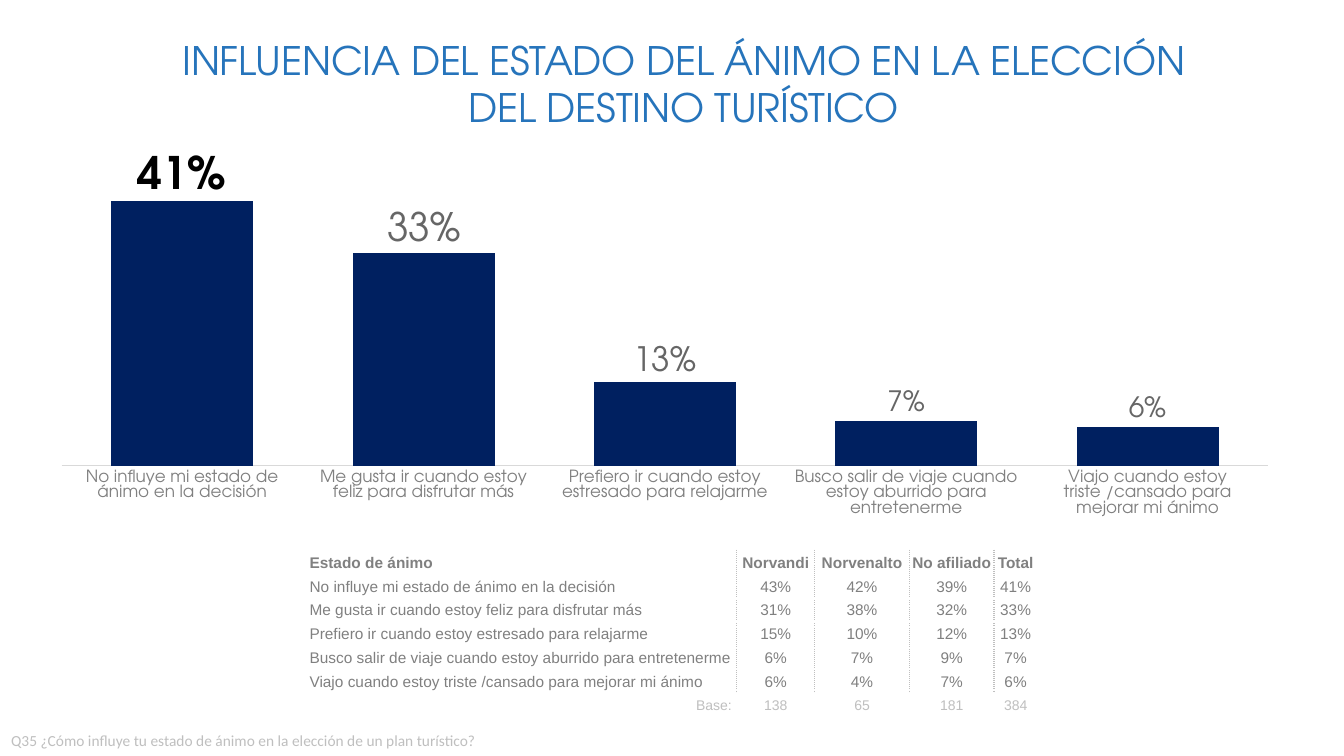
import pptx
import pptx.chart.data
import pptx.dml.color
import pptx.enum.chart
import pptx.enum.text
import pptx.oxml
import pptx.oxml.ns
import pptx.util
from pptx.util import Cm

RGBColor = pptx.dml.color.RGBColor
BLUE = RGBColor(0x26, 0x74, 0xBB)
NAVY = RGBColor(0x00, 0x20, 0x60)
BLACK = RGBColor(0x00, 0x00, 0x00)
DARK_GRAY = RGBColor(0x66, 0x66, 0x66)
GRAY = RGBColor(0x80, 0x80, 0x80)
LIGHT_GRAY = RGBColor(0xBF, 0xBF, 0xBF)
AXIS_GRAY = RGBColor(0xD9, 0xD9, 0xD9)
WHITE = RGBColor(0xFF, 0xFF, 0xFF)
DISPLAY_FONT = "TeX Gyre Adventor"
ALIGN = pptx.enum.text.PP_ALIGN
NAMESPACES = pptx.oxml.ns.nsdecls("a", "c")


def style_font(font, name, size, color, bold=False):
    font.name = name
    font.size = pptx.util.Pt(size)
    font.bold = bold
    font.color.rgb = color


def add_border(cell, side, color, dash):
    cell._tc.get_or_add_tcPr().append(pptx.oxml.parse_xml(
        f'<a:{side} {NAMESPACES} w="12700"><a:solidFill><a:srgbClr val="{color}"/></a:solidFill>'
        f'<a:prstDash val="{dash}"/></a:{side}>'))


deck = pptx.Presentation()
deck.slide_width = Cm(33.87)
deck.slide_height = Cm(19.05)
page = deck.slides.add_slide(deck.slide_layouts[6])

title_box = page.shapes.add_textbox(Cm(4.39), Cm(0.89), Cm(25.68), Cm(2.44))
title_frame = title_box.text_frame
title_frame.word_wrap = True
title_frame.margin_left = title_frame.margin_right = title_frame.margin_bottom = 0
title_frame.margin_top = Cm(0.03)
para = title_frame.paragraphs[0]
para.alignment = ALIGN.CENTER
para.space_before = pptx.util.Pt(1)
span = para.add_run()
span.text = "INFLUENCIA DEL ESTADO DEL ÁNIMO EN LA ELECCIÓN DEL DESTINO TURÍSTICO"
style_font(span.font, DISPLAY_FONT, 28, BLUE)
span._r.get_or_add_rPr().set("spc", "-10")

question_box = page.shapes.add_textbox(Cm(0.03), Cm(18.31), Cm(16.94), Cm(0.74))
question_box.text_frame.word_wrap = True
span = question_box.text_frame.paragraphs[0].add_run()
span.text = "Q35 ¿Cómo influye tu estado de ánimo en la elección de un plan turístico?"
style_font(span.font, "Calibri", 11, LIGHT_GRAY)

moods = [
    ("No influye mi estado de ánimo en la decisión", 43, 42, 39, 41),
    ("Me gusta ir cuando estoy feliz para disfrutar más", 31, 38, 32, 33),
    ("Prefiero ir cuando estoy estresado para relajarme", 15, 10, 12, 13),
    ("Busco salir de viaje cuando estoy aburrido para entretenerme", 6, 7, 9, 7),
    ("Viajo cuando estoy triste /cansado para mejorar mi ánimo", 6, 4, 7, 6),
]

chart_data = pptx.chart.data.CategoryChartData(number_format="0%")
chart_data.categories = [mood[0] for mood in moods]
chart_data.add_series("Total", [mood[-1] / 100 for mood in moods])
chart = page.shapes.add_chart(
    pptx.enum.chart.XL_CHART_TYPE.COLUMN_CLUSTERED,
    Cm(0.91), Cm(3.63), Cm(32.08), Cm(10.34), chart_data).chart
chart.has_legend = False
chart.has_title = False
style_font(chart.font, "Calibri", 10, BLACK)

category_axis = chart.category_axis
category_axis.major_tick_mark = pptx.enum.chart.XL_TICK_MARK.NONE
category_axis.format.line.color.rgb = AXIS_GRAY
category_axis.format.line.width = pptx.util.Pt(0.75)
style_font(category_axis.tick_labels.font, DISPLAY_FONT, 12, GRAY)

value_axis = chart.value_axis
value_axis.minimum_scale = 0
value_axis.maximum_scale = 0.45
value_axis.has_major_gridlines = False
value_axis.major_tick_mark = pptx.enum.chart.XL_TICK_MARK.NONE
value_axis.tick_label_position = pptx.enum.chart.XL_TICK_LABEL_POSITION.NONE
value_axis.format.line.fill.background()

plot = chart.plots[0]
plot.gap_width = 70
plot.vary_by_categories = False
bars = plot.series[0]
bars.format.fill.solid()
bars.format.fill.fore_color.rgb = NAVY

labels = bars.data_labels
labels.show_value = True
labels.number_format = "0%"
labels.number_format_is_linked = False
labels.position = pptx.enum.chart.XL_LABEL_POSITION.OUTSIDE_END
style_font(labels.font, DISPLAY_FONT, 18, DARK_GRAY)
for index, size in enumerate([32, 28, 24, 20, 20]):
    label = bars.points[index].data_label
    leading = index == 0
    style_font(label.font, DISPLAY_FONT, size, BLACK if leading else DARK_GRAY, leading)
    label.position = pptx.enum.chart.XL_LABEL_POSITION.OUTSIDE_END

plot_area = chart._chartSpace.chart.plotArea
for old_layout in plot_area.findall(pptx.oxml.ns.qn("c:layout")):
    plot_area.remove(old_layout)
plot_area.insert(0, pptx.oxml.parse_xml(
    f'<c:layout {NAMESPACES}><c:manualLayout><c:layoutTarget val="inner"/>'
    '<c:xMode val="edge"/><c:yMode val="edge"/><c:x val="0.02"/><c:y val="0.077"/>'
    '<c:w val="0.948"/><c:h val="0.707"/></c:manualLayout></c:layout>'))

rows = [("Estado de ánimo", "Norvandi", "Norvenalto", "No afiliado", "Total")]
rows += [(mood[0], *(f"{share}%" for share in mood[1:])) for mood in moods]
rows.append(("Base: ", "138", "65", "181", "384"))
widths = [10.8, 1.96, 2.39, 2.13, 1.09]
row_height = Cm(0.6)
table = page.shapes.add_table(
    len(rows), len(widths), Cm(7.77), Cm(13.87), Cm(sum(widths)), row_height * len(rows)).table
table.first_row = False
table.horz_banding = False
for column, width in zip(table.columns, widths):
    column.width = Cm(width)

last_row, last_column = len(rows) - 1, len(widths) - 1
for row_index, row in enumerate(rows):
    table.rows[row_index].height = row_height
    is_base = row_index == last_row
    for column_index, text in enumerate(row):
        cell = table.cell(row_index, column_index)
        cell.margin_left = cell.margin_right = cell.margin_top = Cm(0.03)
        cell.margin_bottom = 0
        cell.vertical_anchor = pptx.enum.text.MSO_ANCHOR.MIDDLE
        for side, outer_column in (("lnL", 0), ("lnR", last_column)):
            dotted = not is_base and column_index != outer_column
            add_border(cell, side, LIGHT_GRAY if dotted else WHITE, "sysDot" if dotted else "solid")
        for side in ("lnT", "lnB"):
            add_border(cell, side, WHITE, "solid")
        cell.fill.background()
        para = cell.text_frame.paragraphs[0]
        if column_index:
            para.alignment = ALIGN.CENTER
        else:
            para.alignment = ALIGN.RIGHT if is_base else ALIGN.LEFT
        span = para.add_run()
        span.text = text
        style_font(span.font, "Arial", 10 if is_base else 11,
                   LIGHT_GRAY if is_base else GRAY, row_index == 0)

deck.save("out.pptx")
